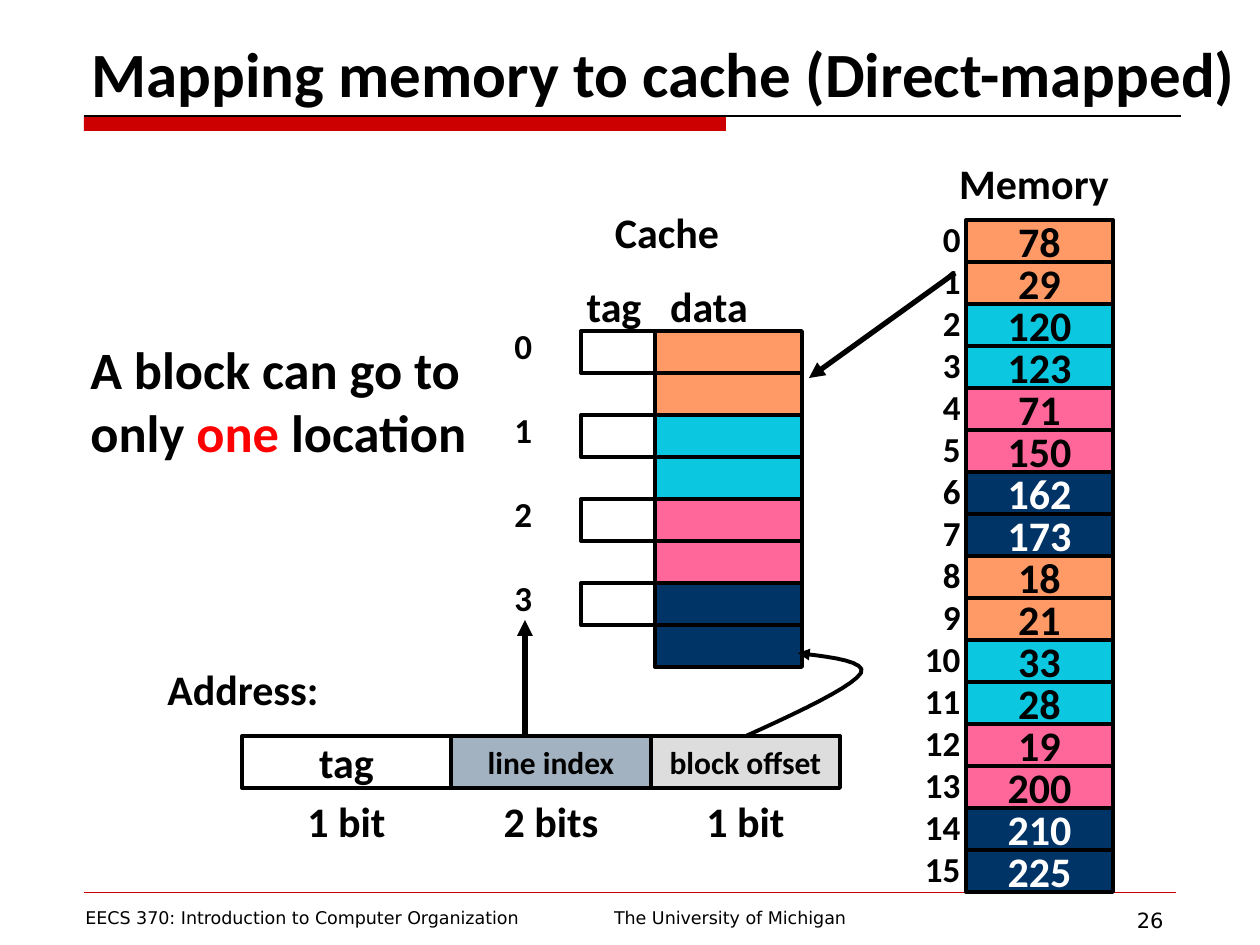
from lxml import etree
from pptx import Presentation
from pptx.dml.color import RGBColor
from pptx.enum.shapes import MSO_CONNECTOR, MSO_SHAPE
from pptx.enum.text import MSO_ANCHOR, MSO_AUTO_SIZE, PP_ALIGN
from pptx.oxml.ns import qn
from pptx.util import Pt

LEFT, CENTER, RIGHT = PP_ALIGN.LEFT, PP_ALIGN.CENTER, PP_ALIGN.RIGHT
TOP, MIDDLE, BOTTOM = MSO_ANCHOR.TOP, MSO_ANCHOR.MIDDLE, MSO_ANCHOR.BOTTOM
RECTANGLE, STRAIGHT = MSO_SHAPE.RECTANGLE, MSO_CONNECTOR.STRAIGHT
EMU_PER_PX = 914400 / 126

# Content
TITLE = "Mapping memory to cache (Direct-mapped)"
COLORS = {"black": "000000", "white": "FFFFFF", "rule": "CC0000", "red": "FF0000",
          "orange": "FF9966", "cyan": "0CC7E0", "pink": "FF6699", "navy": "003366",
          "index": "A3B2C1", "offset": "DDDDDD"}
LINE_COLORS = ["orange", "cyan", "pink", "navy"]
BLOCK_SIZE = 2
MEMORY = [78, 29, 120, 123, 71, 150, 162, 173, 18, 21, 33, 28, 19, 200, 210, 225]
CLAIM = [[("A block can go to", "black")],
         [("only ", "black"), ("one", "red"), (" location", "black")]]
ADDRESS_FIELDS = [  # name, bits, width, fill, text size
    ("tag", "1 bit", 209, "white", 24),
    ("line index", "2 bits", 200, "index", 18),
    ("block offset", "1 bit", 189, "offset", 18),
]
HEADINGS = [  # text, left, top, width, alignment
    ("Memory", 882, 151, 304, CENTER),
    ("Cache", 515, 200, 304, CENTER),
    ("tag", 564, 274, 100, CENTER),
    ("data", 649, 274, 120, CENTER),
    ("Address:", 155, 657, 190, LEFT),
]
FOOTERS = [  # text, left, width, size, alignment
    ("EECS 370: Introduction to Computer Organization", 73, 472, 10, LEFT),
    ("The University of Michigan", 494, 472, 10, CENTER),
    ("26", 966, 210, 12, RIGHT),
]

# Layout
ROW = 42
MEMORY_LEFT, MEMORY_TOP, CELL_WIDTH = 966, 220, 147
CACHE_LEFT, CACHE_TOP, TAG_WIDTH = 655, 331, 74
ADDRESS_LEFT, ADDRESS_TOP, ADDRESS_HEIGHT = 242, 736, 52
OFFSET_CURVE = [(746, 736), (799, 712), (852, 687), (861, 673),
                (869, 659), (809, 655), (798, 653)]
CURVE_STEPS = 10


def px(value):
    return round(value * EMU_PER_PX)


def rgb(name):
    return RGBColor.from_string(COLORS[name])


def write(shape, paragraphs, size, align=LEFT, anchor=TOP, font="Calibri", bold=True, spacing=None):
    frame = shape.text_frame
    frame_format = {"word_wrap": True, "auto_size": MSO_AUTO_SIZE.NONE, "vertical_anchor": anchor}
    for key, value in frame_format.items():
        setattr(frame, key, value)
    for number, runs in enumerate(paragraphs):
        paragraph = frame.add_paragraph() if number else frame.paragraphs[0]
        paragraph.alignment = align
        for key, value in (spacing or {}).items():
            if number or key != "space_before":
                setattr(paragraph, key, value)
        for text, color in runs:
            run = paragraph.add_run()
            run.text = text
            for key, value in {"name": font, "size": Pt(size), "bold": bold}.items():
                setattr(run.font, key, value)
            run.font.color.rgb = rgb(color)


def add_text(left, top, width, height, paragraphs, size, **options):
    box = slide.shapes.add_textbox(px(left), px(top), px(width), px(height))
    write(box, paragraphs, size, **options)


def add_cell(left, top, width, height, fill, text="", size=24):
    cell = slide.shapes.add_shape(RECTANGLE, px(left), px(top), px(width), px(height))
    cell.shadow.inherit = False
    cell.fill.solid()
    cell.fill.fore_color.rgb = rgb(fill)
    cell.line.color.rgb = rgb("black")
    cell.line.width = Pt(2.25)
    if text:
        color = "white" if fill == "navy" else "black"
        write(cell, [[(text, color)]], size, align=CENTER, anchor=MIDDLE)
    return cell


def add_arrowhead(shape):
    etree.SubElement(shape.line._get_or_add_ln(), qn("a:tailEnd"), type="triangle")


def add_line(x1, y1, x2, y2, color, width):
    line = slide.shapes.add_connector(STRAIGHT, px(x1), px(y1), px(x2), px(y2))
    line.line.color.rgb = rgb(color)
    line.line.width = Pt(width)
    etree.SubElement(line._element.spPr, qn("a:effectLst"))
    return line


def bezier(p0, p1, p2, p3, t):
    weights = ((1 - t) ** 3, 3 * t * (1 - t) ** 2, 3 * t ** 2 * (1 - t), t ** 3)
    return tuple(px(sum(w * p[axis] for w, p in zip(weights, (p0, p1, p2, p3))))
                 for axis in (0, 1))


prs = Presentation()
prs.slide_width, prs.slide_height = px(1260), px(945)
slide = prs.slides.add_slide(prs.slide_layouts[5])

# Title, rules and footers
title = slide.shapes.title
for side, value in {"left": 79, "top": 0, "width": 1181, "height": 116}.items():
    setattr(title, side, px(value))
write(title, [[(TITLE, "black")]], 36, anchor=BOTTOM)
title_bar = add_cell(84, 116, 642, 15, "rule")
title_bar.line.fill.background()
add_line(84, 116, 1181, 116, "black", 0.75)
add_line(84, 892, 1176, 892, "rule", 0.25)
for text, left, width, size, align in FOOTERS:
    add_text(left, 901, width, 34, [[(text, "black")]], size,
             align=align, font="DejaVu Sans", bold=False)

# Headings and claim
for text, left, top, width, align in HEADINGS:
    add_text(left, top, width, 63, [[(text, "black")]], 24, align=align)
add_text(78, 331, 440, 140, CLAIM, 30)

# Memory cells with their addresses
for address, value in enumerate(MEMORY):
    color = LINE_COLORS[address // BLOCK_SIZE % len(LINE_COLORS)]
    add_cell(MEMORY_LEFT, MEMORY_TOP + address * ROW, CELL_WIDTH, ROW, color, str(value))
add_text(872, 211, 101, 692, [[(str(n), "black")] for n in range(len(MEMORY))], 20,
         align=RIGHT, spacing={"line_spacing": Pt(24)})

# Cache lines: one tag and a block of data cells each
for line, color in enumerate(LINE_COLORS):
    top = CACHE_TOP + line * BLOCK_SIZE * ROW
    add_cell(CACHE_LEFT - TAG_WIDTH, top, TAG_WIDTH, ROW, "white")
    for offset in range(BLOCK_SIZE):
        add_cell(CACHE_LEFT, top + offset * ROW, CELL_WIDTH, ROW, color)
add_text(502, 318, 60, 307, [[(str(n), "black")] for n in range(len(LINE_COLORS))], 20,
         spacing={"line_spacing": Pt(24), "space_before": Pt(24)})

# Address fields with their bit counts
left = ADDRESS_LEFT
for name, bits, width, fill, size in ADDRESS_FIELDS:
    add_cell(left, ADDRESS_TOP, width, ADDRESS_HEIGHT, fill, name, size)
    add_text(left, ADDRESS_TOP + ADDRESS_HEIGHT + 1, width, 63, [[(bits, "black")]], 24,
             align=CENTER)
    left += width

# Arrows: index to line, memory to cache, offset to data
for ends in [(525, 736, 525, 620), (955, 273, 809, 378)]:
    add_arrowhead(add_line(*ends, "black", 3))
points = [bezier(*OFFSET_CURVE[start:start + 4], step / CURVE_STEPS)
          for start in (0, 3) for step in range(1, CURVE_STEPS + 1)]
builder = slide.shapes.build_freeform(*map(px, OFFSET_CURVE[0]))
builder.add_line_segments(points, close=False)
offset_arrow = builder.convert_to_shape()
offset_arrow.shadow.inherit = False
offset_arrow.fill.background()
offset_arrow.line.color.rgb = rgb("black")
offset_arrow.line.width = Pt(2.25)
add_arrowhead(offset_arrow)

prs.save("out.pptx")
